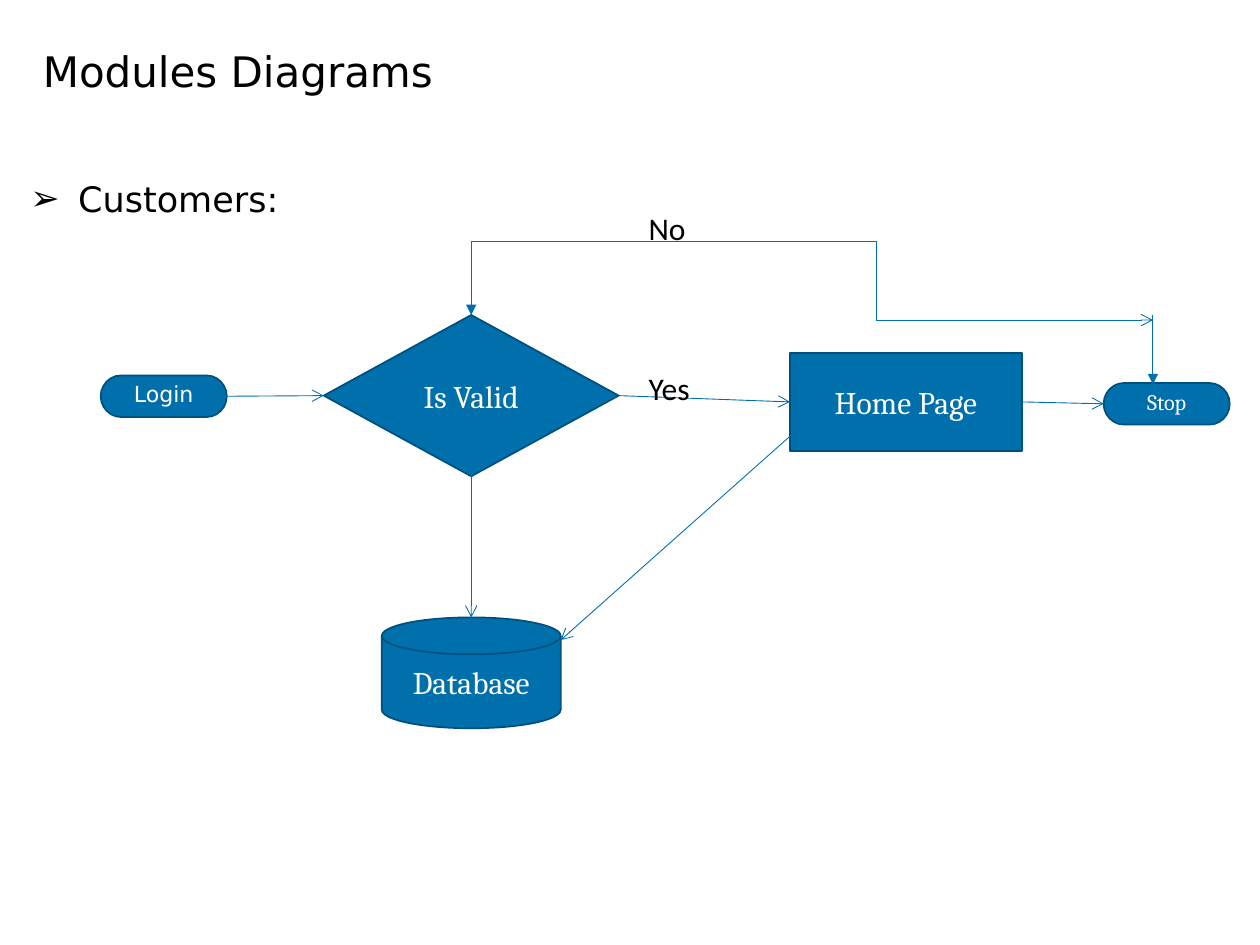
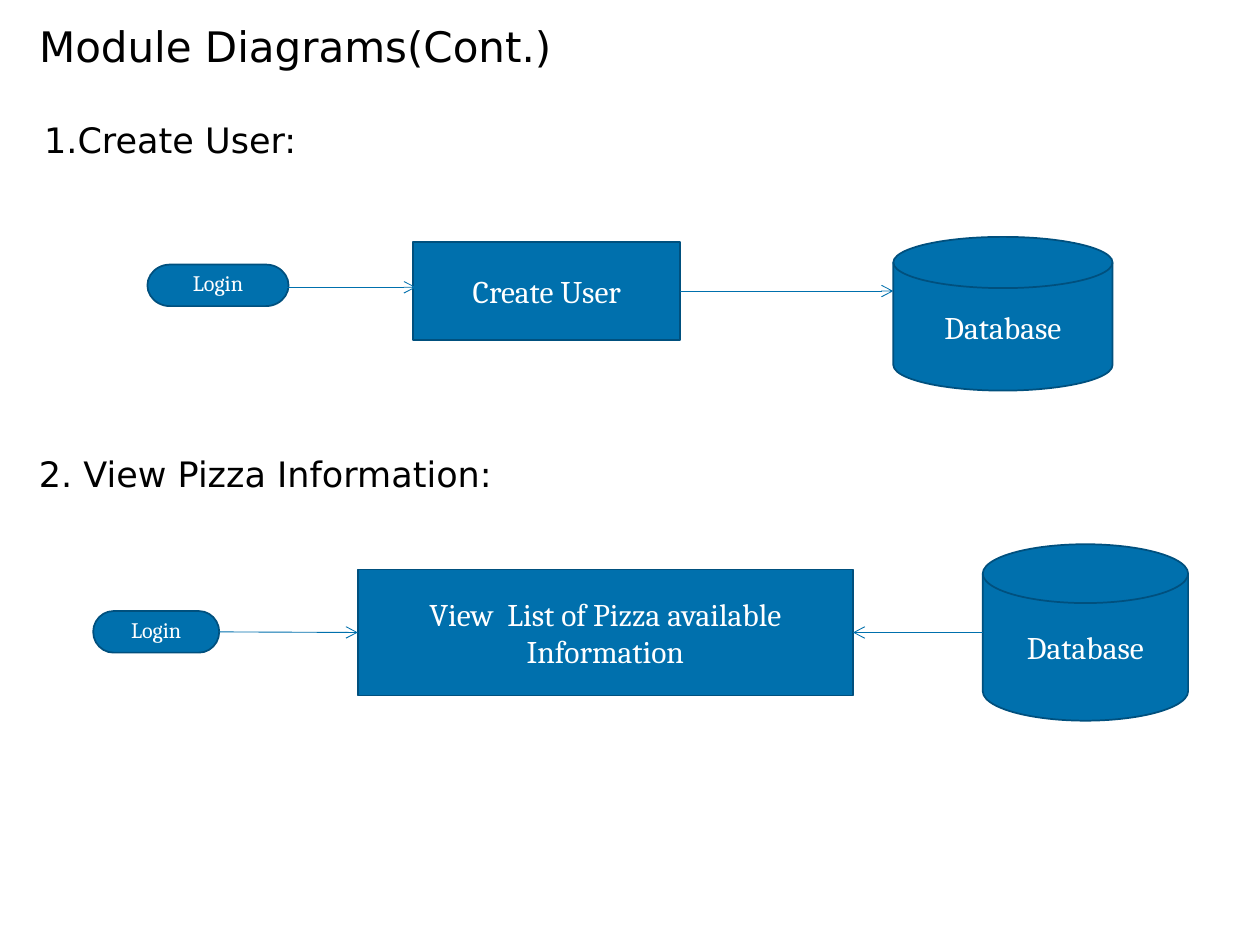
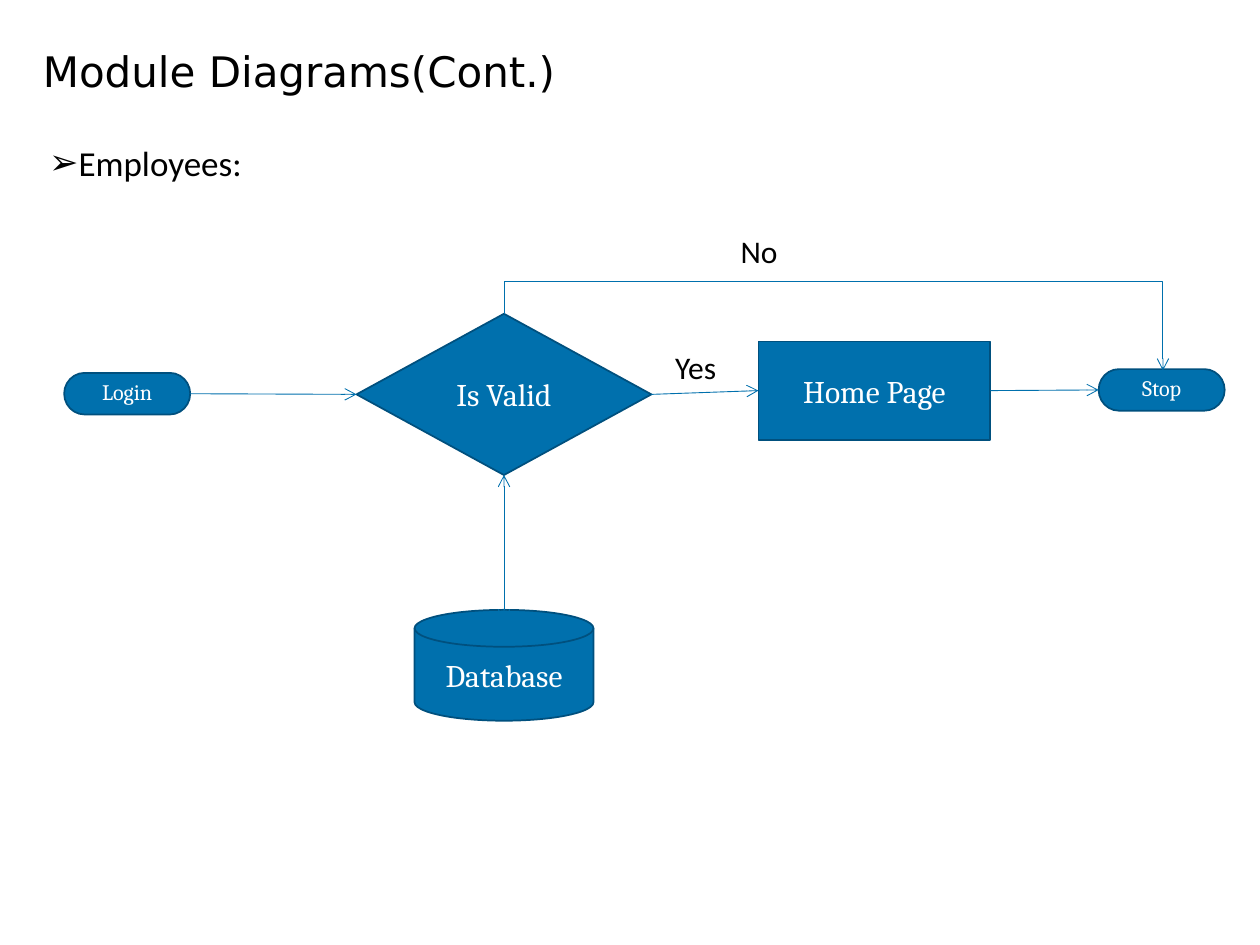
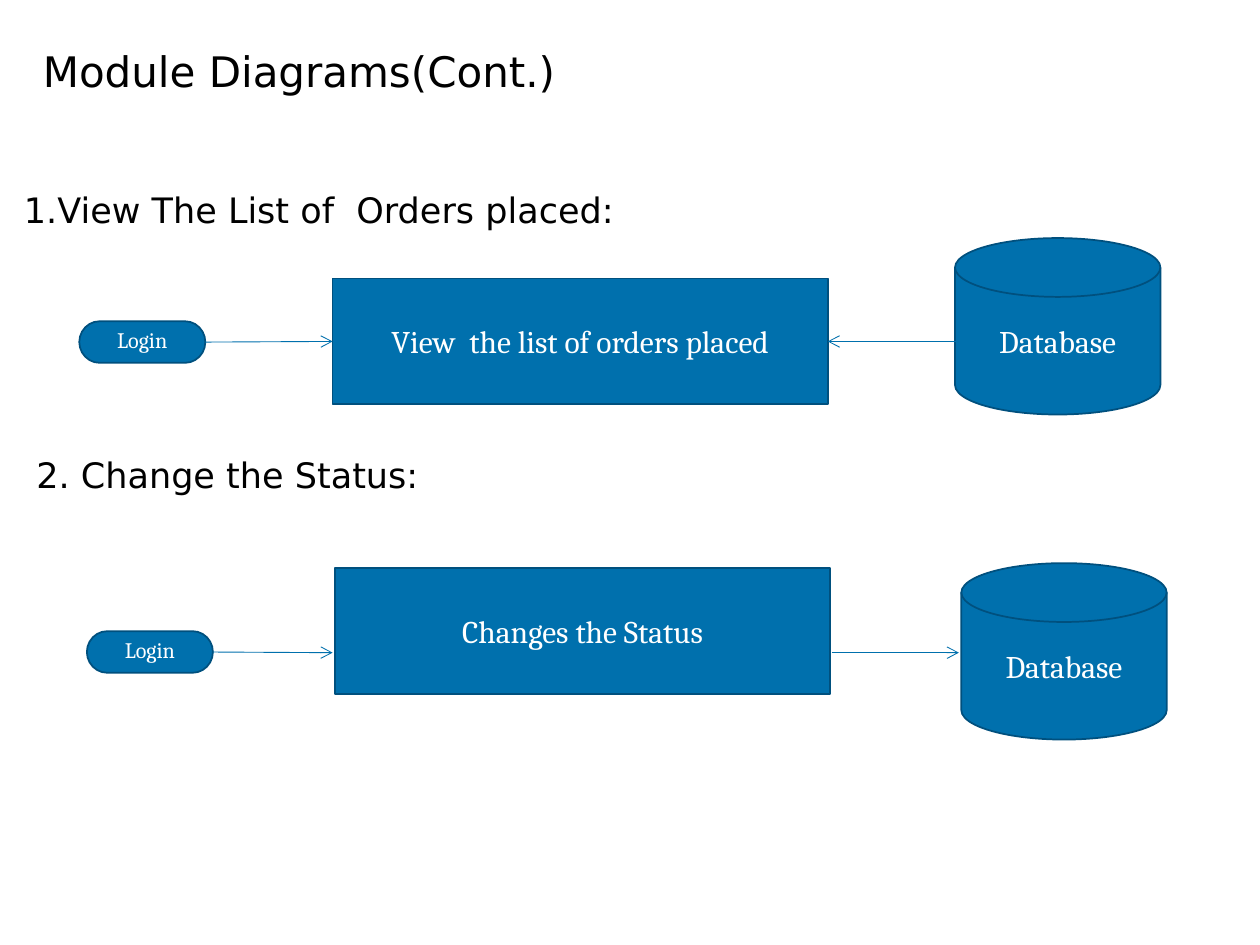
from lxml import etree
from pptx import Presentation
from pptx.dml.color import RGBColor
from pptx.enum.shapes import MSO_CONNECTOR as LINE, MSO_SHAPE as SHAPE
from pptx.enum.text import MSO_ANCHOR, MSO_AUTO_SIZE, PP_ALIGN
from pptx.oxml.ns import qn
from pptx.util import Inches, Pt

BLUE = RGBColor(0x00, 0x70, 0xAD)
NAVY = RGBColor(0x00, 0x50, 0x7E)
BLACK = RGBColor(0, 0, 0)
WHITE = RGBColor(0xFF, 0xFF, 0xFF)

SANS, SERIF, PLAIN = "DejaVu Sans", "Cambria", "Calibri"
TITLE_BOX = (0.34, 0.45, 9.33, 0.94)
TOP, LEFT, BOTTOM, RIGHT = range(4)

# kind: preset shape, text size, line spacing
KINDS = {
    "pill": (SHAPE.FLOWCHART_TERMINATOR, 12.6, 0.8),
    "box": (SHAPE.RECTANGLE, 18, 1.0),
    "disk": (SHAPE.FLOWCHART_MAGNETIC_DISK, 18, 1.0),
    "test": (SHAPE.FLOWCHART_DECISION, 18, 1.0),
}
PILL, PAGE, WIDE = (1, 0.33), (1.84, 0.78), (3.93, 1)
TEST, DISK, TALL = (2.34, 1.28), (1.42, 0.88), (1.63, 1.4)

# nodes: kind, text, left, top, size[, font]
# links: begin, end[, ends]; each end is (node, side) or a point in inches
# elbows: begin, end, adjustment, rotation of the unturned connector
# notes: text, box, size, font
SLIDES = [
    {
        "title": "Modules Diagrams",
        "body": {"text": "Customers:", "box": (0.24, 1.24, 9.52, 5.48),
                 "spacing": 1.5, "bullet": "➢", "indent": 0.38},
        "nodes": {
            "login": ("pill", "Login", 0.8, 2.98, PILL, SANS),
            "home": ("box", "Home Page", 6.27, 2.8, PAGE),
            "data": ("disk", "Database", 3.03, 4.9, DISK),
            "valid": ("test", "Is Valid", 2.57, 2.5, TEST),
            "stop": ("pill", "Stop", 8.76, 3.04, PILL),
        },
        "links": [
            (("login", RIGHT), ("valid", LEFT)),
            (("valid", RIGHT), ("home", LEFT)),
            ((6.43, 3.32), (4.45, 5.08)),
            ((3.74, 3.44), (3.74, 4.9), {"headEnd": "arrow", "tailEnd": "arrow"}),
            (("home", RIGHT), ("stop", LEFT)),
            ((3.74, 1.92), ("valid", TOP), {"tailEnd": "triangle"}),
            ((9.15, 2.5), (9.15, 3.05), {"tailEnd": "triangle"}),
        ],
        "elbows": [((3.74, 1.92), (9.15, 2.54), 0.595, 0)],
        "notes": [("No", (5.05, 1.61, 0.64, 0.4), 18, PLAIN),
                  ("Yes", (5.05, 2.88, 0.78, 0.4), 18, PLAIN)],
    },
    {
        "title": "Module Diagrams(Cont.)",
        "title_box": (0.31, 0.25, 7.5, 0.51),
        "body": {"text": "1.Create User:", "box": (0.35, 0.98, 9.65, 6.12)},
        "nodes": {
            "login": ("pill", "Login", 1.17, 2.1, (1.12, 0.33)),
            "create": ("box", "Create User", 3.28, 1.92, (2.12, 0.78)),
            "data": ("disk", "Database", 7.09, 1.88, (1.74, 1.22)),
            "view": ("box", "View  List of Pizza available Information",
                     2.84, 4.52, WIDE),
            "login2": ("pill", "Login", 0.74, 4.85, PILL),
            "data2": ("disk", "Database", 7.8, 4.32, TALL),
        },
        "links": [
            ((2.25, 2.28), (3.3, 2.28)),
            (("create", RIGHT), (7.09, 2.31)),
            (("login2", RIGHT), ("view", LEFT)),
            ((7.8, 5.02), ("view", RIGHT)),
        ],
        "notes": [("2. View Pizza Information:", (0.21, 3.54, 8.26, 0.77), 20, SANS)],
    },
    {
        "title": "Module Diagrams(Cont.)",
        "body": {"text": "Employees:", "box": (0.39, 1.16, 9.33, 5.21),
                 "bullet": "➢", "font": PLAIN},
        "nodes": {
            "login": ("pill", "Login", 0.51, 2.96, PILL),
            "home": ("box", "Home Page", 6.02, 2.71, PAGE),
            "data": ("disk", "Database", 3.29, 4.84, DISK),
            "valid": ("test", "Is Valid", 2.83, 2.49, TEST),
            "stop": ("pill", "Stop", 8.72, 2.93, PILL),
        },
        "links": [
            (("login", RIGHT), ("valid", LEFT)),
            (("home", RIGHT), ("stop", LEFT)),
            (("valid", RIGHT), ("home", LEFT)),
            (("valid", BOTTOM), (4, 4.93), {"headEnd": "arrow", "tailEnd": "arrow"}),
        ],
        "elbows": [((6.84, 0.1), (6.39, 5.33), -0.563, 270)],
        "notes": [("Yes", (5.26, 2.71, 0.58, 0.4), 18, PLAIN),
                  ("No", (5.78, 1.79, 0.64, 0.4), 18, PLAIN)],
    },
    {
        "title": "Module Diagrams(Cont.)",
        "body": {"text": "1.View The List of  Orders placed:",
                 "box": (0.19, 1.53, 9.33, 1.76)},
        "nodes": {
            "login": ("pill", "Login", 0.63, 2.55, PILL),
            "view": ("box", "View  the list of orders placed", 2.64, 2.21, WIDE),
            "data": ("disk", "Database", 7.58, 1.89, TALL),
            "login2": ("pill", "Login", 0.69, 5.01, PILL),
            "change": ("box", "Changes the Status", 2.66, 4.51, WIDE),
            "data2": ("disk", "Database", 7.63, 4.47, TALL),
        },
        "links": [
            (("login", RIGHT), ("view", LEFT)),
            ((7.6, 2.71), ("view", RIGHT)),
            (("login2", RIGHT), (2.64, 5.18)),
            ((6.6, 5.18), (7.61, 5.18)),
        ],
        "notes": [("2. Change the Status:", (0.19, 3.55, 6.02, 0.44), 20, SANS)],
    },
]


def assign(item, values):
    for name, value in values.items():
        setattr(item, name, value)


def write(frame, text, size, font, color, **layout):
    """Fill a text frame with one paragraph; layout holds paragraph settings."""
    frame.text = text
    para = frame.paragraphs[0]
    assign(para, layout)
    run = para.runs[0].font
    assign(run, {"size": Pt(size), "name": font})
    run.color.rgb = color
    return para


def fill_holder(holder, box, text, size, font, **layout):
    """Move a placeholder and write in it without insets."""
    names = ("left", "top", "width", "height")
    assign(holder, dict(zip(names, map(Inches, box))))
    frame = holder.text_frame
    margins = ("margin_left", "margin_top", "margin_right", "margin_bottom")
    assign(frame, dict.fromkeys(margins, 0))
    assign(frame, {"auto_size": MSO_AUTO_SIZE.NONE, "word_wrap": True,
                   "vertical_anchor": MSO_ANCHOR.TOP})
    return write(frame, text, size, font, BLACK, alignment=PP_ALIGN.LEFT, **layout)


def add_body(holder, text, box, spacing=0.9, bullet=None, indent=0, font=SANS):
    para = fill_holder(holder, box, text, 20, font,
                       line_spacing=spacing, space_before=Pt(7.5))
    props = para._p.get_or_add_pPr()
    props.set("marL", str(Inches(indent)))
    props.set("indent", str(-Inches(indent)))
    if bullet:
        etree.SubElement(props, qn("a:buChar"), char=bullet)
    else:
        etree.SubElement(props, qn("a:buNone"))


def add_node(slide, kind, text, x, y, size, font=SERIF):
    preset, points, spacing = KINDS[kind]
    node = slide.shapes.add_shape(preset, *map(Inches, (x, y, *size)))
    node.shadow.inherit = False
    node.fill.solid()
    node.fill.fore_color.rgb = BLUE
    node.line.color.rgb = NAVY
    node.line.width = Pt(1)
    write(node.text_frame, text, points, font, WHITE,
          alignment=PP_ALIGN.CENTER, line_spacing=spacing)
    return node


def add_line(slide, kind, start, end, ends):
    line = slide.shapes.add_connector(kind, *map(Inches, (*start, *end)))
    line.line.color.rgb = BLUE
    line.line.width = Pt(0.5)
    stroke = line.line._ln
    for tag, style in ends.items():
        etree.SubElement(stroke, qn("a:" + tag), type=style)
    etree.SubElement(stroke.getparent(), qn("a:effectLst"))
    return line


def add_link(slide, nodes, start, end, ends={"tailEnd": "arrow"}):
    spots = [(0, 0) if spot[0] in nodes else spot for spot in (start, end)]
    line = add_line(slide, LINE.STRAIGHT, *spots, ends)
    for spot, join in ((start, line.begin_connect), (end, line.end_connect)):
        if spot[0] in nodes:
            join(nodes[spot[0]], spot[1])


def add_elbow(slide, start, end, bend, turn):
    line = add_line(slide, LINE.ELBOW, start, end, {"tailEnd": "arrow"})
    root = line._element
    guides = root.find(".//" + qn("a:avLst"))
    etree.SubElement(guides, qn("a:gd"), name="adj1",
                     fmla=f"val {round(bend * 100000)}")
    if turn:
        root.find(".//" + qn("a:xfrm")).set("rot", str(turn * 60000))


def add_note(slide, text, box, size, font):
    frame = slide.shapes.add_textbox(*map(Inches, box)).text_frame
    frame.word_wrap = True
    write(frame, text, size, font, BLACK)


def add_slide(deck, data):
    slide = deck.slides.add_slide(deck.slide_layouts[1])
    fill_holder(slide.shapes.title, data.get("title_box", TITLE_BOX),
                data["title"], 24, SANS, line_spacing=Pt(22.5))
    add_body(slide.placeholders[1], **data["body"])
    nodes = {key: add_node(slide, *node) for key, node in data["nodes"].items()}
    for link in data["links"]:
        add_link(slide, nodes, *link)
    for elbow in data.get("elbows", []):
        add_elbow(slide, *elbow)
    for note in data["notes"]:
        add_note(slide, *note)


def main():
    deck = Presentation()
    assign(deck, {"slide_width": Inches(10), "slide_height": Inches(7.5)})
    for data in SLIDES:
        add_slide(deck, data)
    deck.save("out.pptx")


if __name__ == "__main__":
    main()
